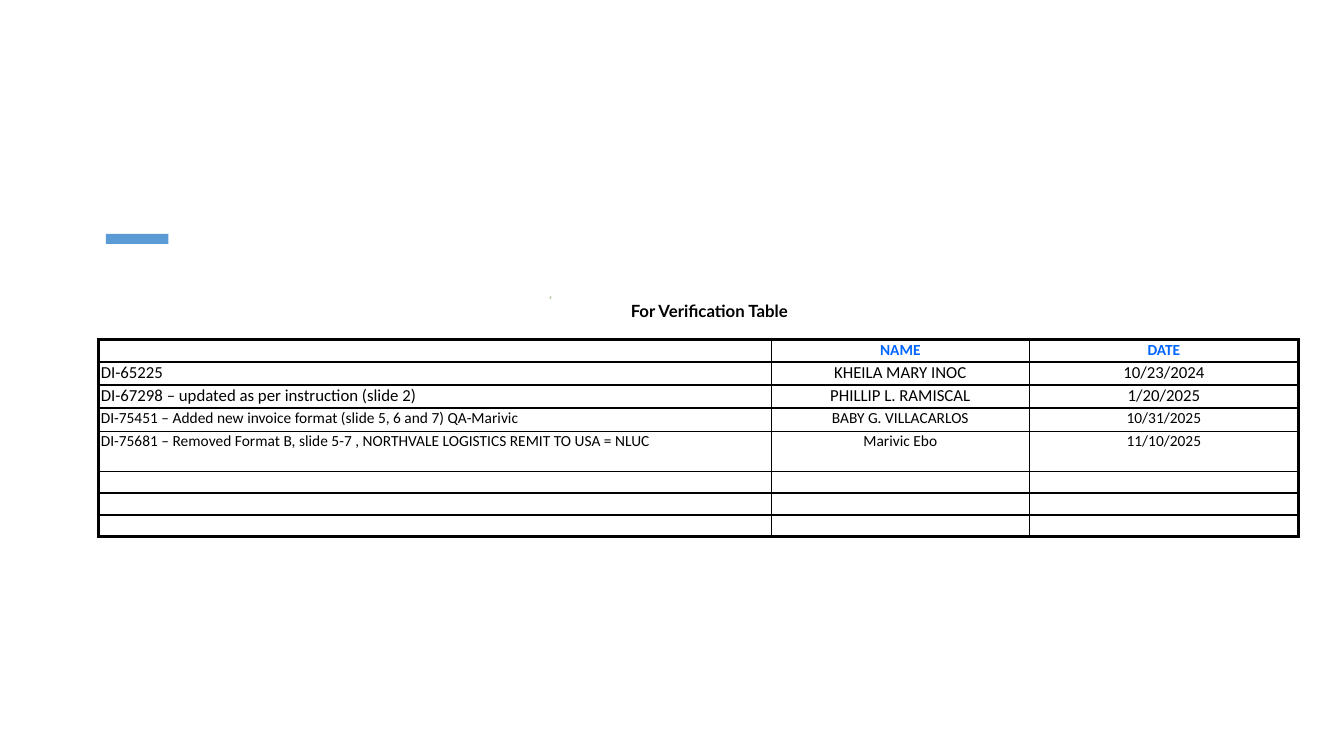
from dataclasses import dataclass

from pptx import Presentation
from pptx.dml.color import RGBColor
from pptx.enum.shapes import MSO_SHAPE as Shape
from pptx.enum.text import MSO_ANCHOR as Anchor, MSO_AUTO_SIZE as AutoSize, PP_ALIGN as Align
from pptx.oxml import parse_xml
from pptx.oxml.ns import nsdecls
from pptx.util import Inches, Pt


@dataclass(frozen=True)
class Theme:
    ink: str = "000000"
    accent: str = "5B9BD5"
    heading: str = "0066FF"
    mark: str = "548235"
    title_font: str = "Lato"
    table_font: str = "Calibri"
    mark_font: str = "Arial Narrow"
    large: float = 12
    normal: float = 11
    tiny: float = 2.9
    outer_line: float = 2.25
    inner_line: float = 1


THEME = Theme()
WIDTH, HEIGHT = Inches(13.33), Inches(7.5)

# Column widths and row heights in percent of the slide
COLUMNS = (50.04, 19.2, 20.03)
ROWS = (2.95, 3.05, 3.05, 3.05, 5.3, 2.9, 2.9, 2.9)
ENTRIES = (
    ("", "NAME", "DATE"),
    ("DI-65225", "KHEILA MARY INOC", "10/23/2024"),
    ("DI-67298 – updated as per instruction (slide 2)", "PHILLIP L. RAMISCAL", "1/20/2025"),
    ("DI-75451 – Added new invoice format (slide 5, 6 and 7) QA-Marivic",
     "BABY G. VILLACARLOS", "10/31/2025"),
    ("DI-75681 – Removed Format B, slide 5-7 , NORTHVALE LOGISTICS REMIT TO USA = NLUC",
     "Marivic Ebo", "11/10/2025"),
)
LARGE_ROWS = (1, 2)


def across(percent):
    return int(WIDTH * percent / 100)


def down(percent):
    return int(HEIGHT * percent / 100)


def box(left, top, width, height):
    return across(left), down(top), across(width), down(height)


def style_paragraph(paragraph, font, size, color, bold=False, italic=False, align=Align.LEFT):
    paragraph.alignment = align
    paragraph.font.name = font
    paragraph.font.size = Pt(size)
    paragraph.font.bold = bold
    paragraph.font.italic = italic
    paragraph.font.color.rgb = RGBColor.from_string(color)


def set_insets(target):
    target.margin_left = target.margin_right = Inches(0.02)
    target.margin_top = target.margin_bottom = Inches(0.01)


def fill_frame(frame, text, anchor):
    frame.auto_size = AutoSize.NONE
    frame.word_wrap = True
    frame.vertical_anchor = anchor
    set_insets(frame)
    frame.text = text
    return frame.paragraphs[0]


def add_title(slide, text, place):
    title = slide.shapes.title
    title.left, title.top, title.width, title.height = place
    paragraph = fill_frame(title.text_frame, text, Anchor.TOP)
    paragraph.line_spacing = 0.9
    style_paragraph(paragraph, THEME.title_font, THEME.large, THEME.ink,
                    bold=True, align=Align.CENTER)


def add_accent_bar(slide, place):
    bar = slide.shapes.add_shape(Shape.RECTANGLE, *place)
    bar.shadow.inherit = False
    bar.fill.solid()
    bar.fill.fore_color.rgb = RGBColor.from_string(THEME.accent)
    bar.line.fill.background()


def add_mark(slide, text, place):
    mark = slide.shapes.add_textbox(*place)
    paragraph = fill_frame(mark.text_frame, text, Anchor.MIDDLE)
    style_paragraph(paragraph, THEME.mark_font, THEME.tiny, THEME.mark, italic=True)


def draw_borders(cell, row, column):
    """Draw heavy lines on the table's rim and thin lines inside it."""
    on_rim = {"lnL": column == 0, "lnR": column == len(COLUMNS) - 1,
              "lnT": row == 0, "lnB": row == len(ROWS) - 1}
    properties = cell._tc.get_or_add_tcPr()
    for position, (side, heavy) in enumerate(on_rim.items()):
        width = Pt(THEME.outer_line if heavy else THEME.inner_line)
        properties.insert(position, parse_xml(
            f'<a:{side} {nsdecls("a")} w="{width}"><a:solidFill>'
            f'<a:srgbClr val="{THEME.ink}"/></a:solidFill></a:{side}>'))


def fill_cell(cell, text, row, column):
    set_insets(cell)
    cell.vertical_anchor = Anchor.TOP
    cell.fill.background()
    cell.text = text
    paragraph = cell.text_frame.paragraphs[0]
    header = row == 0
    size = THEME.large if row in LARGE_ROWS else THEME.normal
    style_paragraph(paragraph, THEME.table_font, size,
                    THEME.heading if header else THEME.ink, bold=header,
                    align=Align.CENTER if column else Align.LEFT)
    # Empty cells take their height from the end mark
    paragraph._p.get_or_add_endParaRPr().set("sz", str(int(size * 100)))
    draw_borders(cell, row, column)


def add_verification_table(slide, left, top):
    place = box(left, top, sum(COLUMNS), sum(ROWS))
    table = slide.shapes.add_table(len(ROWS), len(COLUMNS), *place).table
    table.first_row = table.horz_banding = False
    for column, width in zip(table.columns, COLUMNS):
        column.width = across(width)
    for row, height in enumerate(ROWS):
        table.rows[row].height = down(height)
        texts = ENTRIES[row] if row < len(ENTRIES) else ("",) * len(COLUMNS)
        for column, text in enumerate(texts):
            fill_cell(table.cell(row, column), text, row, column)


def main():
    presentation = Presentation()
    presentation.slide_width, presentation.slide_height = WIDTH, HEIGHT
    slide = presentation.slides.add_slide(presentation.slide_layouts[5])

    # Heading area
    add_accent_bar(slide, box(7.88, 30.93, 4.65, 1.33))
    add_mark(slide, "6", box(40.74, 38.67, 0.75, 1.47))
    add_title(slide, "For Verification Table", box(45.24, 40, 15.08, 0.67))

    # Verification log
    add_verification_table(slide, 7.35, 44.93)
    presentation.save("out.pptx")


if __name__ == "__main__":
    main()
